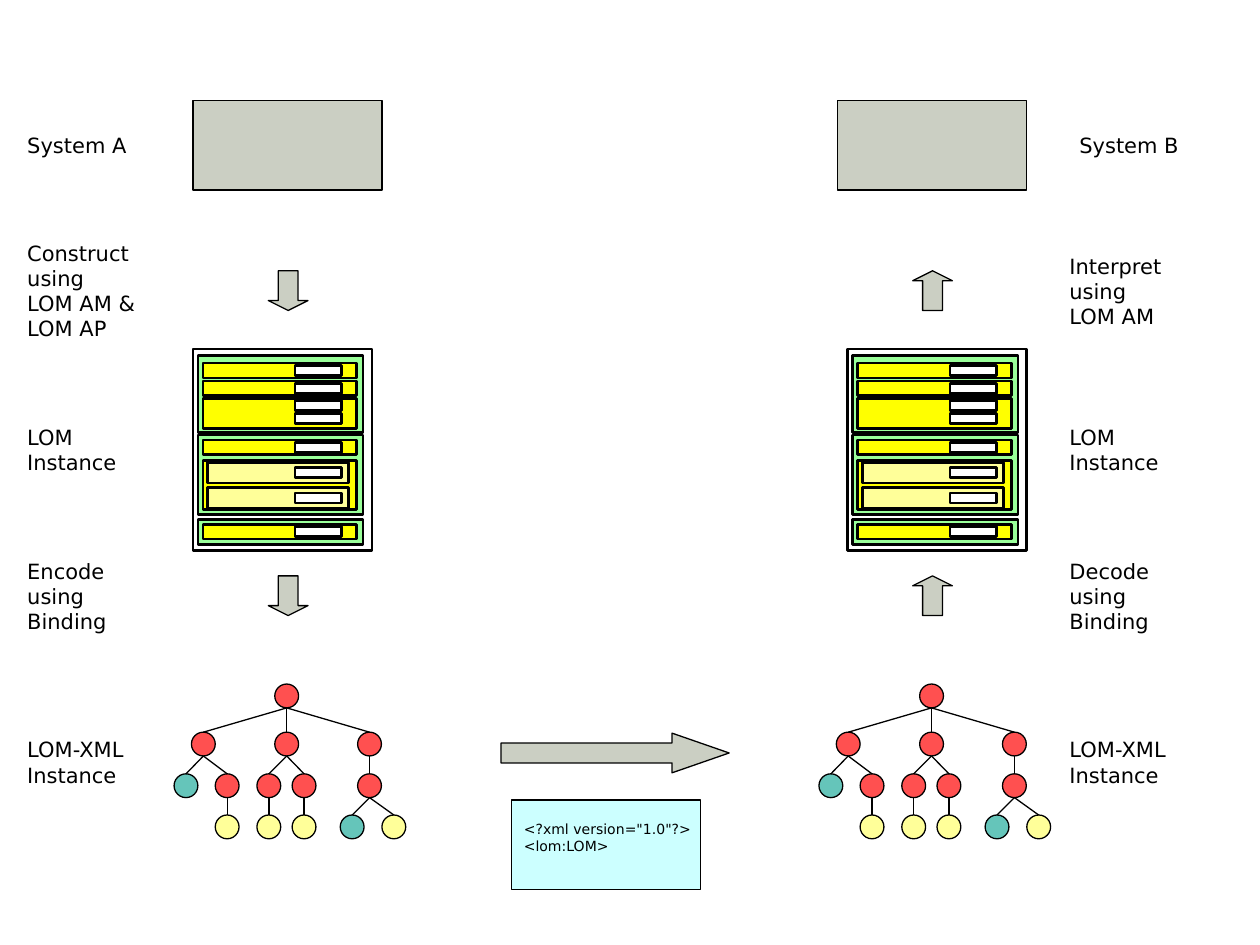
from dataclasses import dataclass
from typing import Optional

from lxml import etree
from pptx import Presentation
from pptx import util as u
from pptx.dml.color import RGBColor
from pptx.enum import shapes, text

BLACK = RGBColor(0x00, 0x00, 0x00)
WHITE = RGBColor(0xFF, 0xFF, 0xFF)
GREY = RGBColor(0xCB, 0xCF, 0xC3)
CYAN = RGBColor(0xCC, 0xFF, 0xFF)
GREEN = RGBColor(0x99, 0xFF, 0x99)
YELLOW = RGBColor(0xFF, 0xFF, 0x00)
PALE = RGBColor(0xFF, 0xFF, 0x99)
RED = RGBColor(0xFF, 0x50, 0x50)
TEAL = RGBColor(0x65, 0xC5, 0xBA)
FONT = "DejaVu Sans"
KIND = shapes.MSO_SHAPE
A_NS = "http://schemas.openxmlformats.org/drawingml/2006/main"


@dataclass(frozen=True)
class Layer:
    """Bars of one nesting depth in a LOM instance; bars are (top, height)."""
    left: float
    width: float
    color: RGBColor
    bars: tuple


@dataclass(frozen=True)
class Node:
    left: float
    level: int
    color: RGBColor
    parent: Optional[int] = None


@dataclass(frozen=True)
class Label:
    top: float
    height: float
    lines: tuple


@dataclass(frozen=True)
class Side:
    """One system's column; all positions in cm."""
    label_left: float
    system_label_left: float
    system_left: float
    arrow_left: float
    arrow_kind: KIND
    record_left: float
    tree_shift: float
    system: str
    labels: tuple


LAYERS = (
    Layer(0.1, 3.33, GREEN, ((0.13, 1.55), (1.73, 1.6), (3.43, 0.51))),
    Layer(0.2, 3.1, YELLOW, ((0.28, 0.3), (0.64, 0.3), (0.99, 0.61),
                             (1.83, 0.3), (2.24, 0.99), (3.53, 0.3))),
    Layer(0.3, 2.84, PALE, ((2.29, 0.41), (2.79, 0.41))),
    Layer(2.06, 0.94, WHITE, tuple((top, 0.2) for top in (
        0.33, 0.69, 1.04, 1.3, 1.88, 2.39, 2.9, 3.58))),
)

NODE_SIZE = 0.48
LEVEL_TOPS = (13.79, 14.76, 15.6, 16.43)
NODES = (
    Node(5.54, 0, RED),
    Node(3.86, 1, RED, 0), Node(5.54, 1, RED, 0), Node(7.21, 1, RED, 0),
    Node(3.51, 2, TEAL, 1), Node(4.34, 2, RED, 1),
    Node(5.18, 2, RED, 2), Node(5.89, 2, RED, 2), Node(7.21, 2, RED, 3),
    Node(4.34, 3, PALE, 5), Node(5.18, 3, PALE, 6), Node(5.89, 3, PALE, 7),
    Node(6.86, 3, TEAL, 8), Node(7.7, 3, PALE, 8),
)

INSTANCE_LABELS = (
    Label(8.43, 1.27, ("LOM", "Instance")),
    Label(14.73, 1.27, ("LOM-XML", "Instance")),
)
SIDES = (
    Side(0.3, 0.3, 3.89, 5.41, KIND.DOWN_ARROW, 3.89, 0, "System A",
         (Label(4.72, 2.29, ("Construct using", "LOM AM & LOM AP")),
          Label(11.13, 1.78, ("Encode using", "Binding")))),
    Side(21.31, 21.51, 16.89, 18.4, KIND.UP_ARROW, 17.09, 13, "System B",
         (Label(4.98, 1.78, ("Interpret using", "LOM AM")),
          Label(11.13, 1.78, ("Decode using", "Binding")))),
)


def draw_shape(parent, kind: KIND, left: float, top: float, width: float,
               height: float, color: Optional[RGBColor], line: float = 0.75):
    shape = parent.shapes.add_shape(
        kind, u.Cm(left), u.Cm(top), u.Cm(width), u.Cm(height))
    shape.shadow.inherit = False
    if color is None:
        shape.fill.background()
    else:
        shape.fill.solid()
        shape.fill.fore_color.rgb = color
    shape.line.color.rgb = BLACK
    shape.line.width = u.Pt(line)
    return shape


def draw_edge(parent, x1: float, y1: float, x2: float, y2: float) -> None:
    edge = parent.shapes.add_connector(
        shapes.MSO_CONNECTOR.STRAIGHT, u.Cm(x1), u.Cm(y1), u.Cm(x2), u.Cm(y2))
    edge.line.color.rgb = BLACK
    edge.line.width = u.Pt(0.75)
    etree.SubElement(edge._element.spPr, f"{{{A_NS}}}effectLst")


def write_lines(box, lines: tuple, size: float) -> None:
    para = box.text_frame.paragraphs[0]
    para.alignment = text.PP_ALIGN.LEFT
    for index, line in enumerate(lines):
        if index:
            para.add_line_break()
        span = para.add_run()
        span.text = line
        span.font.name = FONT
        span.font.size = u.Pt(size)
        span.font.color.rgb = BLACK


def draw_label(page, left: float, width: float, label: Label) -> None:
    box = page.shapes.add_textbox(
        u.Cm(left), u.Cm(label.top), u.Cm(width), u.Cm(label.height))
    box.text_frame.word_wrap = True
    write_lines(box, label.lines, 12)


def draw_record(page, left: float, top: float) -> None:
    record = page.shapes.add_group_shape()
    draw_shape(record, KIND.RECTANGLE, left, top, 3.61, 4.06, None, 1.5)
    for layer in LAYERS:
        for bar_top, height in layer.bars:
            draw_shape(record, KIND.RECTANGLE, left + layer.left,
                       top + bar_top, layer.width, height, layer.color, 1.5)


def draw_tree(page, shift: float) -> None:
    tree = page.shapes.add_group_shape()
    radius = NODE_SIZE / 2
    for node in NODES:
        left, top = node.left + shift, LEVEL_TOPS[node.level]
        draw_shape(tree, KIND.OVAL, left, top, NODE_SIZE, NODE_SIZE, node.color)
        if node.parent is not None:
            parent = NODES[node.parent]
            draw_edge(tree, parent.left + shift + radius,
                      LEVEL_TOPS[parent.level] + NODE_SIZE, left + radius, top)


def draw_side(page, side: Side) -> None:
    draw_shape(page, KIND.RECTANGLE, side.system_left, 2.03, 3.81, 1.8, GREY)
    draw_label(page, side.system_label_left, 2.69,
               Label(2.54, 0.76, (side.system,)))
    for label in side.labels + INSTANCE_LABELS:
        draw_label(page, side.label_left, 2.9, label)
    for top in (5.46, 11.61):
        arrow = draw_shape(page, side.arrow_kind, side.arrow_left, top,
                           0.8, 0.8, GREY)
        arrow.adjustments[1] = 0.25
    draw_record(page, side.record_left, 7.04)
    draw_tree(page, side.tree_shift)


def main() -> None:
    deck = Presentation()
    deck.slide_width, deck.slide_height = u.Cm(25.4), u.Cm(19.05)
    page = deck.slides.add_slide(deck.slide_layouts[6])

    # The two systems
    for side in SIDES:
        draw_side(page, side)

    # Transfer of the XML document between them
    transfer = draw_shape(page, KIND.RIGHT_ARROW, 10.1, 14.78, 4.6, 0.8, GREY)
    transfer.adjustments[1] = 1.44
    document = draw_shape(page, KIND.RECTANGLE, 10.31, 16.13, 3.81, 1.8, CYAN)
    frame = document.text_frame
    frame.word_wrap = False
    frame.vertical_anchor = text.MSO_ANCHOR.TOP
    frame.margin_top = u.Cm(0.41)
    write_lines(document, ('<?xml version="1.0"?>', "<lom:LOM>"), 8)

    deck.save("out.pptx")


if __name__ == "__main__":
    main()
